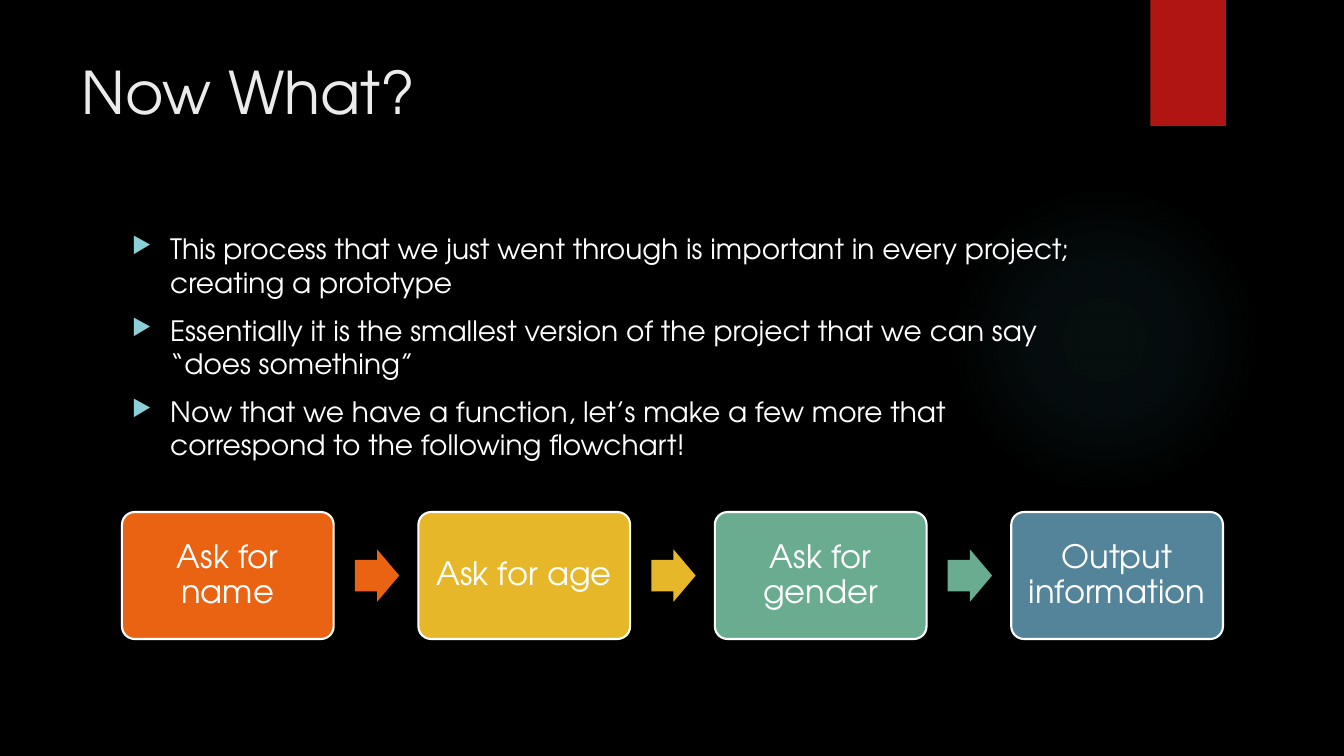
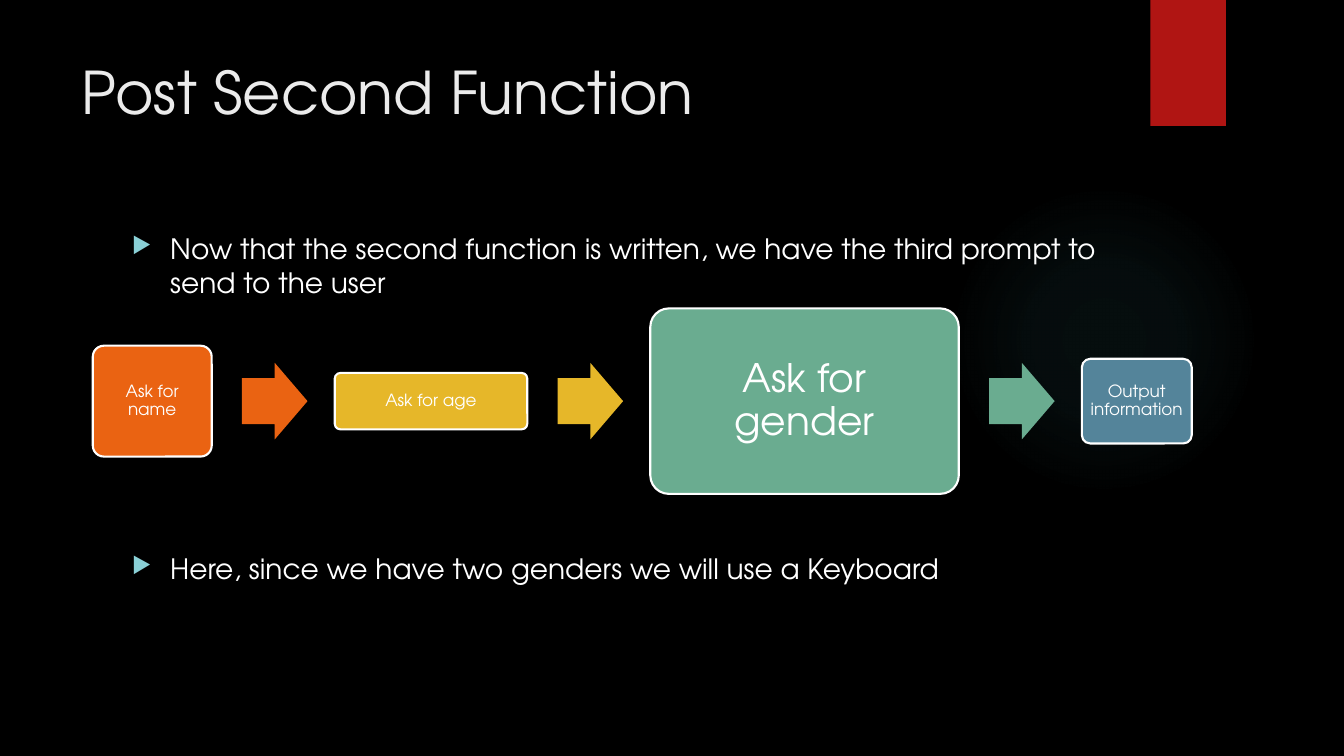
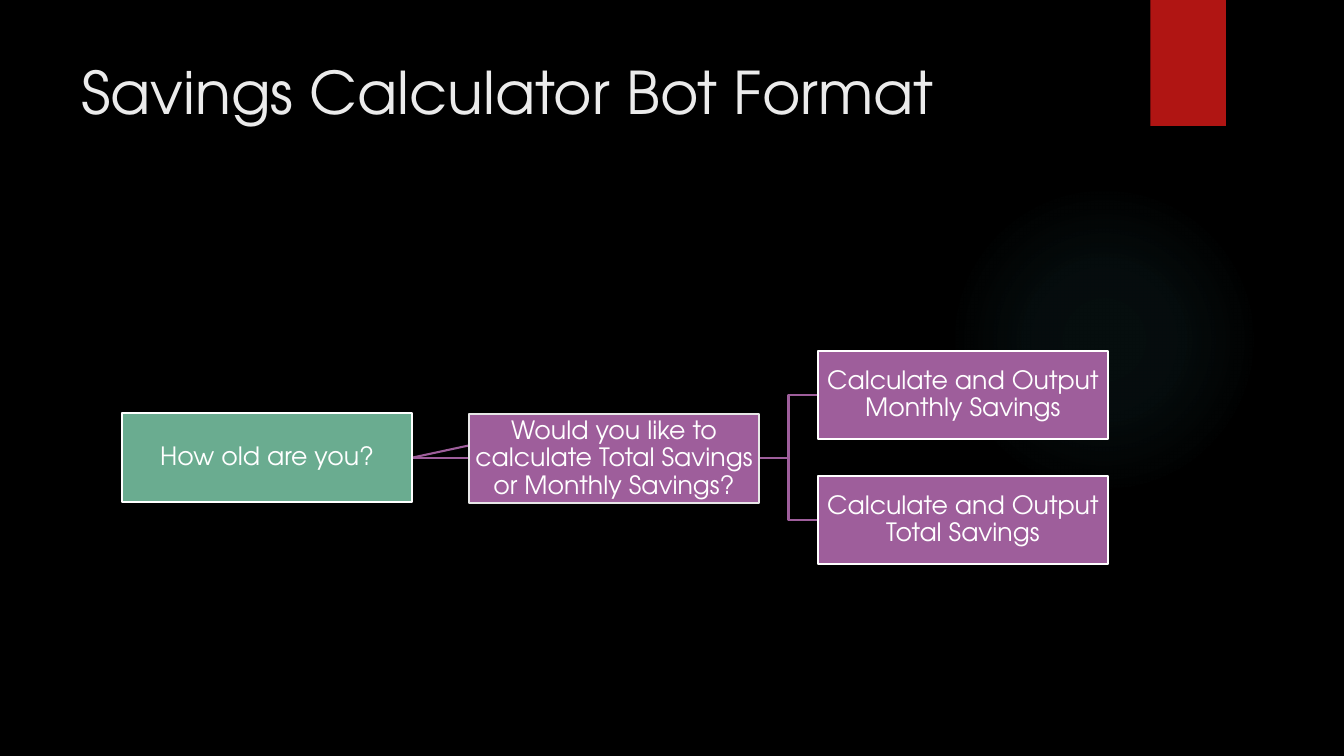
from lxml import etree
from pptx import Presentation
from pptx import oxml
from pptx.dml.color import RGBColor
from pptx.enum import shapes, text
from pptx.util import Inches, Pt

FONT = "TeX Gyre Adventor"
WHITE, TITLE, BULLET = "FFFFFF", "EBEBEB", "8AD0D6"
RED, ORANGE, YELLOW = "B01513", "EA6312", "E6B729"
GREEN, BLUE, PURPLE, GLOW = "6AAC90", "54849A", "9E5E9B", "50B9C1"
NS = 'xmlns:a="http://schemas.openxmlformats.org/drawingml/2006/main"'
A = "{http://schemas.openxmlformats.org/drawingml/2006/main}"
MSO = shapes.MSO_SHAPE
rgb = RGBColor.from_string


def add_box(slide, kind, left, top, width, height, fill, line=None):
    box = slide.shapes.add_shape(
        kind, Inches(left), Inches(top), Inches(width), Inches(height))
    box.shadow.inherit = False
    box.fill.solid()
    box.fill.fore_color.rgb = rgb(fill)
    if line:
        box.line.color.rgb = rgb(line)
        box.line.width = Pt(1.5)
    else:
        box.line.fill.background()
    return box


def write(shape, lines, size, color=WHITE, inset=None):
    """Fill a frame with paragraphs; an inset makes it a centred label."""
    frame = shape.text_frame
    frame.word_wrap = True
    if inset is not None:
        frame.vertical_anchor = text.MSO_ANCHOR.MIDDLE
        frame.margin_left = frame.margin_right = Inches(inset)
        frame.margin_top = frame.margin_bottom = Inches(inset)
    for i, line in enumerate(lines):
        paragraph = frame.paragraphs[0] if i == 0 else frame.add_paragraph()
        if inset is not None:
            paragraph.alignment = text.PP_ALIGN.CENTER
            paragraph.line_spacing = 0.9
        run = paragraph.add_run()
        run.text = line
        run.font.size = Pt(size)
        run.font.name = FONT
        run.font.color.rgb = rgb(color)
    return frame.paragraphs


prs = Presentation()
prs.slide_width, prs.slide_height = Inches(13.33), Inches(7.5)
backdrop = prs.slide_master.background.fill
backdrop.solid()
backdrop.fore_color.rgb = rgb("000000")

# Shared frame: glow, ribbon, title and bullets
pages = [
    ("Now What?", [
        "This process that we just went through is important in every project; creating a prototype",
        "Essentially it is the smallest version of the project that we can say “does something”",
        "Now that we have a function, let’s make a few more that correspond to the following flowchart!",
    ], 10),
    ("Post Second Function", [
        "Now that the second function is written, we have the third prompt to send to the user",
        "Here, since we have two genders we will use a Keyboard",
    ], 180),
    ("Savings Calculator Bot Format", [], 0),
]
slides = []
for heading, bullets, gap in pages:
    slide = prs.slides.add_slide(prs.slide_layouts[6])
    slides.append(slide)

    glow = add_box(slide, MSO.OVAL, 9.41, 1.83, 3.08, 3.08, GLOW)
    stops = "".join(
        f'<a:gs pos="{pos}000"><a:srgbClr val="{GLOW}"><a:alpha val="{alpha}000"/></a:srgbClr></a:gs>'
        for pos, alpha in [(0, 7), (36, 6), (69, 0)])
    gradient = oxml.parse_xml(
        f'<a:gradFill {NS}><a:gsLst>{stops}</a:gsLst><a:path path="circle">'
        '<a:fillToRect l="50000" t="50000" r="50000" b="50000"/></a:path></a:gradFill>')
    solid = glow.element.spPr.find(A + "solidFill")
    glow.element.spPr.replace(solid, gradient)

    ribbon = add_box(slide, MSO.RECTANGLE, 11.41, 0, 0.75, 1.25, RED)
    ribbon.element.spPr.find(A + "effectLst").append(oxml.parse_xml(
        f'<a:outerShdw {NS} blurRad="{Pt(3)}" dist="{Pt(2)}" dir="5400000" rotWithShape="0">'
        '<a:srgbClr val="000000"><a:alpha val="45000"/></a:srgbClr></a:outerShdw>'))

    title = slide.shapes.add_textbox(Inches(0.71), Inches(0.5), Inches(10.29), Inches(1.53))
    write(title, [heading], 42, TITLE)

    if bullets:
        body = slide.shapes.add_textbox(Inches(1.21), Inches(2.25), Inches(9.78), Inches(4.59))
        for i, paragraph in enumerate(write(body, bullets, 20)):
            if i:
                paragraph.space_before = Pt(gap)
            props = paragraph._p.get_or_add_pPr()
            props.set("marL", str(Inches(0.38)))
            props.set("indent", str(Inches(-0.38)))
            color = etree.SubElement(props, A + "buClr")
            etree.SubElement(color, A + "srgbClr", val=BULLET)
            etree.SubElement(props, A + "buSzPct", val="80000")
            etree.SubElement(props, A + "buChar", char="▶")

# Slides 1 and 2: the prompt flow, each step as (width, height, size, inset)
prompts = [("Ask for name", ORANGE), ("Ask for age", YELLOW),
           ("Ask for gender", GREEN), ("Output information", BLUE)]
flows = [
    # slide, left, middle, arrow width and height, gap before and after arrow, steps
    (slides[0], 1.21, 5.71, 0.44, 0.52, 0.21, 0.19, [(2.1, 1.26, 23, 0.1)] * 4),
    (slides[1], 0.92, 3.98, 0.65, 0.76, 0.3, 0.27,
     [(1.18, 1.1, 12, 0.05), (1.91, 0.56, 12, 0.05),
      (3.06, 1.84, 28, 0.12), (1.09, 0.84, 12, 0.05)]),
]
for slide, left, middle, arrow_w, arrow_h, before, after, steps in flows:
    for i, ((label, color), (width, height, size, inset)) in enumerate(zip(prompts, steps)):
        step = add_box(slide, MSO.ROUNDED_RECTANGLE, left, middle - height / 2,
                       width, height, color, WHITE)
        step.adjustments[0] = 0.1
        write(step, [label], size, inset=inset)
        left += width + before
        if i < len(prompts) - 1:
            arrow = add_box(slide, MSO.RIGHT_ARROW, left, middle - arrow_h / 2,
                            arrow_w, arrow_h, color)
            arrow.adjustments[0] = 0.6
            arrow.adjustments[1] = 0.5
        left += arrow_w + after

# Slide 3: decision tree, branches first so that the boxes cover them
tree = slides[2]
box_w, box_h = 2.88, 0.88
start_x, start_y, bend_x, outcome_x = 4.09, 4.54, 7.82, 8.11
link = tree.shapes.add_connector(
    shapes.MSO_CONNECTOR.STRAIGHT, Inches(start_x), Inches(start_y), Inches(6.09), Inches(4.11))
branches = [link]
for outcome_y in (5.16, 3.92):
    outline = tree.shapes.build_freeform(Inches(start_x), Inches(start_y))
    outline.add_line_segments(
        [(Inches(x), Inches(y)) for x, y in
         [(bend_x, start_y), (bend_x, outcome_y), (outcome_x, outcome_y)]], close=False)
    branch = outline.convert_to_shape()
    branch.fill.background()
    branch.shadow.inherit = False
    branches.append(branch)
for branch in branches:
    branch.line.color.rgb = rgb(PURPLE)
    branch.line.width = Pt(1.5)
etree.SubElement(link.element.spPr, A + "effectLst")

nodes = []
for label, left, top, color, border in [
    ("How old are you?", 1.21, 4.1, GREEN, WHITE),
    ("Calculate and Output Monthly Savings", outcome_x, 3.48, PURPLE, WHITE),
    ("Calculate and Output Total Savings", outcome_x, 4.72, PURPLE, WHITE),
    ("Would you like to calculate Total Savings or Monthly Savings?", 4.65, 4.11, PURPLE, "E7E7E7"),
]:
    node = add_box(tree, MSO.RECTANGLE, left, top, box_w, box_h, color, border)
    write(node, [label], 18, inset=0.01)
    nodes.append(node)
link.begin_connect(nodes[0], 3)
link.end_connect(nodes[3], 0)

prs.save("out.pptx")
